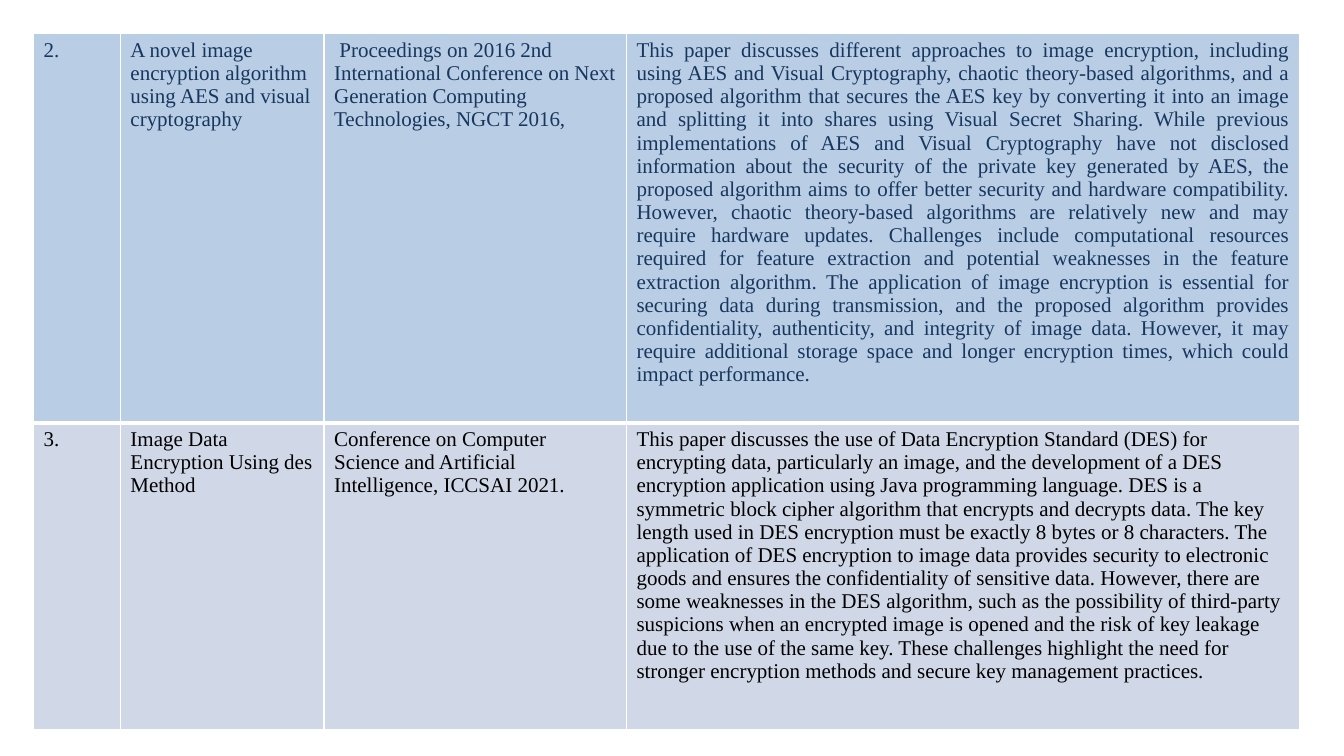
from pptx import Presentation
from pptx.dml.color import RGBColor
from pptx.enum.text import PP_ALIGN
from pptx.oxml import parse_xml
from pptx.oxml.ns import nsdecls
from pptx.util import Pt

WHITE = RGBColor(0xFF, 0xFF, 0xFF)
BLACK = RGBColor(0x00, 0x00, 0x00)
NAVY = RGBColor(0x17, 0x37, 0x5E)
BLUE = RGBColor(0xB9, 0xCD, 0xE5)
PALE_BLUE = RGBColor(0xD0, 0xD8, 0xE8)

COLUMN_WIDTHS = [62, 145.5, 216, 481]

# One entry per paper: row format, short cells by paragraph, summary by sentence
PAPERS = [
    {
        "height": 278, "fill": BLUE, "color": NAVY, "bottom": 3,
        "summary_align": PP_ALIGN.JUSTIFY,
        "cells": [
            ["2."],
            ["A novel image",
             "encryption algorithm using AES and visual cryptography"],
            [" Proceedings on 2016 2nd International Conference on Next "
             "Generation Computing Technologies, NGCT 2016, "],
        ],
        "summary": [
            "This paper discusses different approaches to image encryption, "
            "including using AES and Visual Cryptography, chaotic theory-based "
            "algorithms, and a proposed algorithm that secures the AES key by "
            "converting it into an image and splitting it into shares using "
            "Visual Secret Sharing.",
            "While previous implementations of AES and Visual Cryptography have "
            "not disclosed information about the security of the private key "
            "generated by AES, the proposed algorithm aims to offer better "
            "security and hardware compatibility.",
            "However, chaotic theory-based algorithms are relatively new and "
            "may require hardware updates.",
            "Challenges include computational resources required for feature "
            "extraction and potential weaknesses in the feature extraction "
            "algorithm.",
            "The application of image encryption is essential for securing data "
            "during transmission, and the proposed algorithm provides "
            "confidentiality, authenticity, and integrity of image data.",
            "However, it may require additional storage space and longer "
            "encryption times, which could impact performance.",
        ],
    },
    {
        "height": 219.5, "fill": PALE_BLUE, "color": BLACK, "bottom": 1,
        "summary_align": PP_ALIGN.LEFT,
        "cells": [
            ["3."],
            ["Image Data Encryption Using des Method"],
            ["Conference on Computer Science and Artificial Intelligence, "
             "ICCSAI 2021. "],
        ],
        "summary": [
            "This paper discusses the use of Data Encryption Standard (DES) for "
            "encrypting data, particularly an image, and the development of a "
            "DES encryption application using Java programming language.",
            "DES is a symmetric block cipher algorithm that encrypts and "
            "decrypts data.",
            "The key length used in DES encryption must be exactly 8 bytes or 8 "
            "characters.",
            "The application of DES encryption to image data provides security "
            "to electronic goods and ensures the confidentiality of sensitive "
            "data.",
            "However, there are some weaknesses in the DES algorithm, such as "
            "the possibility of third-party suspicions when an encrypted image "
            "is opened and the risk of key leakage due to the use of the same "
            "key.",
            "These challenges highlight the need for stronger encryption "
            "methods and secure key management practices.",
        ],
    },
]


class SlideWriter:
    """Holds the text style and the current slide."""

    font_format = {"name": "Times New Roman", "size": Pt(15), "bold": False}

    def __init__(self, slide):
        self.slide = slide

    def table(self, left, top, widths, papers):
        heights = [paper["height"] for paper in papers]
        frame = self.slide.shapes.add_table(
            len(heights), len(widths),
            Pt(left), Pt(top), Pt(sum(widths)), Pt(sum(heights)))
        table = frame.table
        for option in ("first_row", "horz_banding"):
            setattr(table, option, False)
        for column, width in zip(table.columns, widths):
            column.width = Pt(width)
        for row, paper in zip(table.rows, papers):
            row.height = Pt(paper["height"])
            *short_cells, summary_cell = row.cells
            for cell, paragraphs in zip(short_cells, paper["cells"]):
                self.cell(cell, paragraphs, paper)
            self.cell(summary_cell, [" ".join(paper["summary"])], paper,
                      paper["summary_align"])

    def cell(self, cell, paragraphs, paper, alignment=PP_ALIGN.LEFT):
        cell.fill.solid()
        cell.fill.fore_color.rgb = paper["fill"]
        self.borders(cell, {"L": 1, "R": 1, "T": 1, "B": paper["bottom"]})
        cell.text_frame.text = "\n".join(paragraphs)
        for para in cell.text_frame.paragraphs:
            para.alignment = alignment
            for span in para.runs:
                for key, value in self.font_format.items():
                    setattr(span.font, key, value)
                span.font.color.rgb = paper["color"]

    def borders(self, cell, widths):
        properties = cell._tc.get_or_add_tcPr()
        for position, (side, width) in enumerate(widths.items()):
            properties.insert(position, parse_xml(
                f'<a:ln{side} {nsdecls("a")} w="{Pt(width)}">'
                f'<a:solidFill><a:srgbClr val="{WHITE}"/></a:solidFill>'
                f'</a:ln{side}>'))


def main():
    # Deck and blank page
    deck = Presentation()
    deck.slide_width, deck.slide_height = Pt(960), Pt(540)
    page = deck.slides.add_slide(deck.slide_layouts[6])

    # Literature table
    writer = SlideWriter(page)
    writer.table(24, 24, COLUMN_WIDTHS, PAPERS)

    deck.save("out.pptx")


if __name__ == "__main__":
    main()
